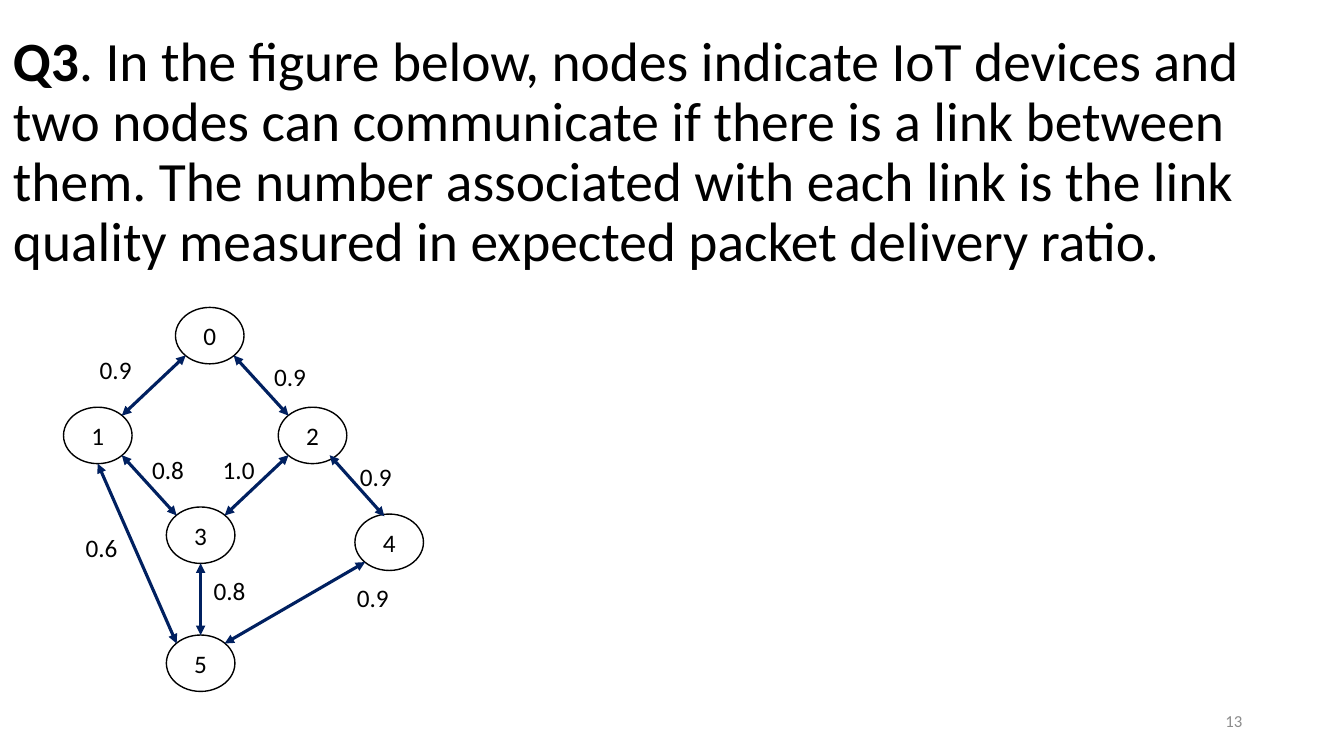
from lxml import etree
from pptx import Presentation, util as u
from pptx.dml.color import RGBColor
from pptx.enum import shapes, text
from pptx.oxml.ns import qn

COLORS = {"ink": "000000", "paper": "FFFFFF", "link": "002060", "number": "8C8C8C"}
FONT = "Calibri"
WIDTH, HEIGHT = 13.33, 7.5

CELL = 0.1  # side of one grid square in the network, in inches
NODE_W, NODE_H = 6.8, 5.6  # node size in columns and rows
LABEL_W, LABEL_H = 5.2, 4.0

# Top left corner of each node, as (column, row)
NODES = [(11.1, 0), (0, 9.9), (21.3, 9.9), (10.2, 19.8), (28.9, 20.5), (10.2, 32.5)]

# Where a link meets a node, as shares of node size from its centre
DIAGONAL = 0.35
TOP, BOTTOM = (0, -0.5), (0, 0.5)
TOP_LEFT, TOP_RIGHT = (-DIAGONAL, -DIAGONAL), (DIAGONAL, -DIAGONAL)
BOTTOM_LEFT, BOTTOM_RIGHT = (-DIAGONAL, DIAGONAL), (DIAGONAL, DIAGONAL)

# Node, its site, other node, its site, quality, label's (column, row)
LINKS = [
    (0, BOTTOM_LEFT, 1, TOP_RIGHT, "0.9", (2.6, 4.2)),
    (0, BOTTOM_RIGHT, 2, TOP_LEFT, "0.9", (19.9, 4.9)),
    (1, BOTTOM_RIGHT, 3, TOP_LEFT, "0.8", (7.8, 14.1)),
    (2, BOTTOM_LEFT, 3, TOP_RIGHT, "1.0", (14.8, 14.1)),
    (2, (0.25, DIAGONAL), 4, (-0.07, -0.46), "0.9", (28.4, 14.8)),
    (1, BOTTOM, 5, TOP_LEFT, "0.6", (1.2, 21.8)),
    (3, BOTTOM, 5, TOP, "0.8", (13.9, 26.1)),
    (4, BOTTOM_LEFT, 5, TOP_RIGHT, "0.9", (28.1, 26.8)),
]


def color(name):
    return RGBColor.from_string(COLORS[name])


def inches(*lengths):
    return [u.Inches(length) for length in lengths]


def write(shape, *runs, size=18, ink="ink", align="LEFT", anchor="MIDDLE",
          wrap=True, spacing=1.0):
    """Fill a shape with one paragraph of (words, bold) runs."""
    frame = shape.text_frame
    frame.word_wrap = wrap
    frame.vertical_anchor = text.MSO_ANCHOR[anchor]
    para = frame.paragraphs[0]
    para.alignment = text.PP_ALIGN[align]
    para.line_spacing = spacing
    for words, bold in runs:
        span = para.add_run()
        span.text = words
        span.font.name, span.font.size, span.font.bold = FONT, u.Pt(size), bold
        span.font.color.rgb = color(ink)


def add_question(page, box):
    write(page.shapes.add_textbox(*inches(*box)),
          ("Q3", True),
          (". In the figure below, nodes indicate IoT devices and two nodes can "
           "communicate if there is a link between them. The number associated "
           "with each link is the link quality measured in expected packet "
           "delivery ratio.", False),
          size=39.6, spacing=0.9)


def add_page_number(page, box):
    write(page.shapes.add_textbox(*inches(*box)), ("13", False),
          size=12, ink="number", align="RIGHT")


def add_node(network, name, box):
    node = network.shapes.add_shape(shapes.MSO_SHAPE.OVAL, *inches(*box))
    node.shadow.inherit = False
    node.fill.solid()
    node.fill.fore_color.rgb = color("paper")
    node.line.color.rgb = color("ink")
    node.line.width = u.Pt(1)
    write(node, (name, False), align="CENTER")


def add_link(network, start, end):
    link = network.shapes.add_connector(
        shapes.MSO_CONNECTOR.STRAIGHT, *inches(*start, *end))
    link.line.color.rgb = color("link")
    link.line.width = u.Pt(2.25)
    line = link.line._get_or_add_ln()
    for tip in ("a:headEnd", "a:tailEnd"):
        etree.SubElement(line, qn(tip), type="triangle")
    etree.SubElement(link._element.spPr, qn("a:effectLst"))


def add_network(page, left, top):
    network = page.shapes.add_group_shape()

    def place(column, row):
        return left + column * CELL, top + row * CELL

    def site(node, share):
        column, row = NODES[node]
        return place(column + NODE_W * (0.5 + share[0]),
                     row + NODE_H * (0.5 + share[1]))

    # Nodes
    for name, corner in enumerate(NODES):
        add_node(network, str(name), (*place(*corner), NODE_W * CELL, NODE_H * CELL))

    # Links with their quality
    for first, leave, second, arrive, quality, corner in LINKS:
        add_link(network, site(first, leave), site(second, arrive))
        label = network.shapes.add_textbox(
            *inches(*place(*corner), LABEL_W * CELL, LABEL_H * CELL))
        write(label, (quality, False), anchor="TOP", wrap=False)


def main():
    deck = Presentation()
    deck.slide_width, deck.slide_height = inches(WIDTH, HEIGHT)
    page = deck.slides.add_slide(deck.slide_layouts[6])
    add_question(page, (0.03, 0, WIDTH - 0.03, 3.05))
    add_network(page, 0.63, 3.05)
    add_page_number(page, (9.42, 6.95, 3, 0.4))
    deck.save("out.pptx")


if __name__ == "__main__":
    main()
